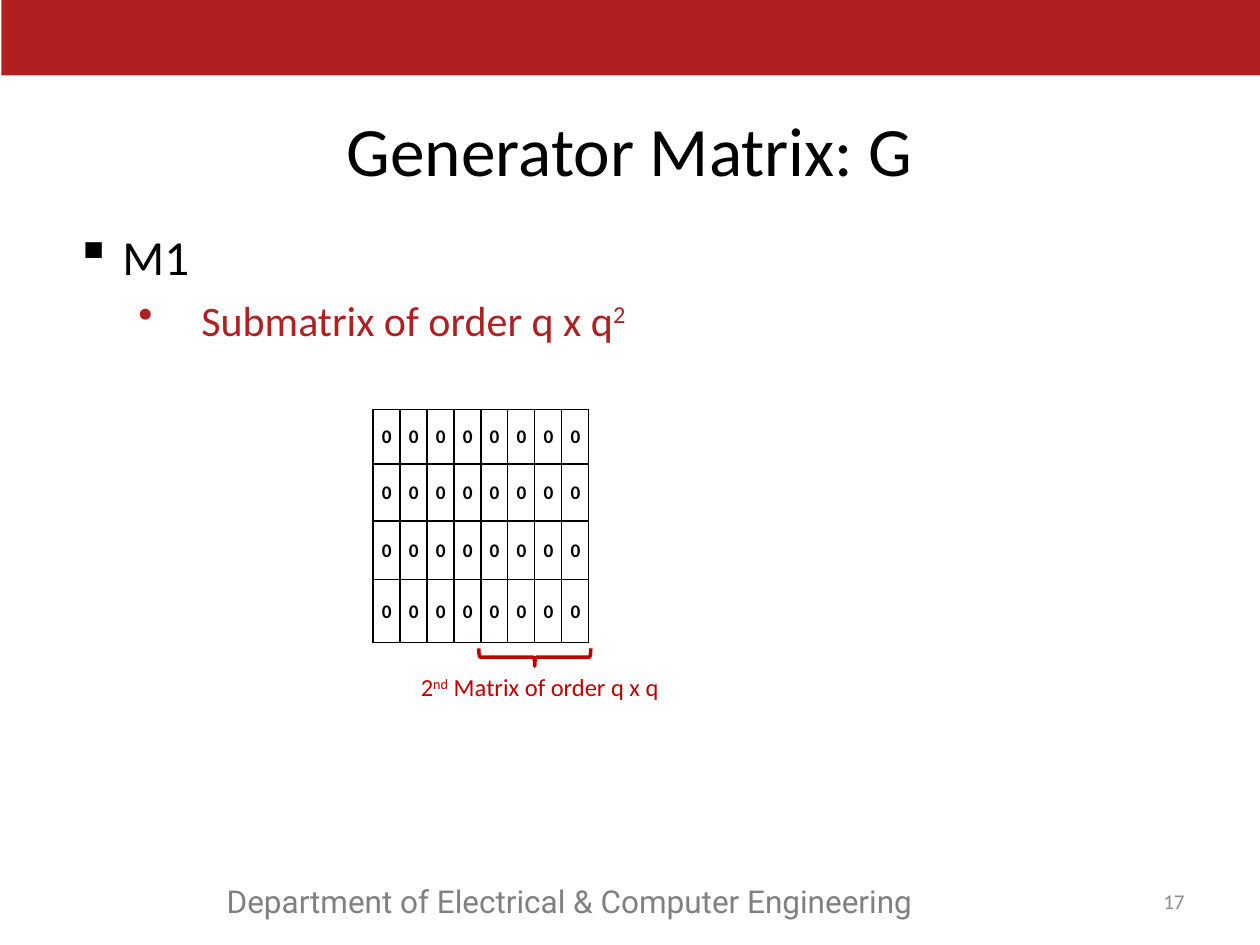
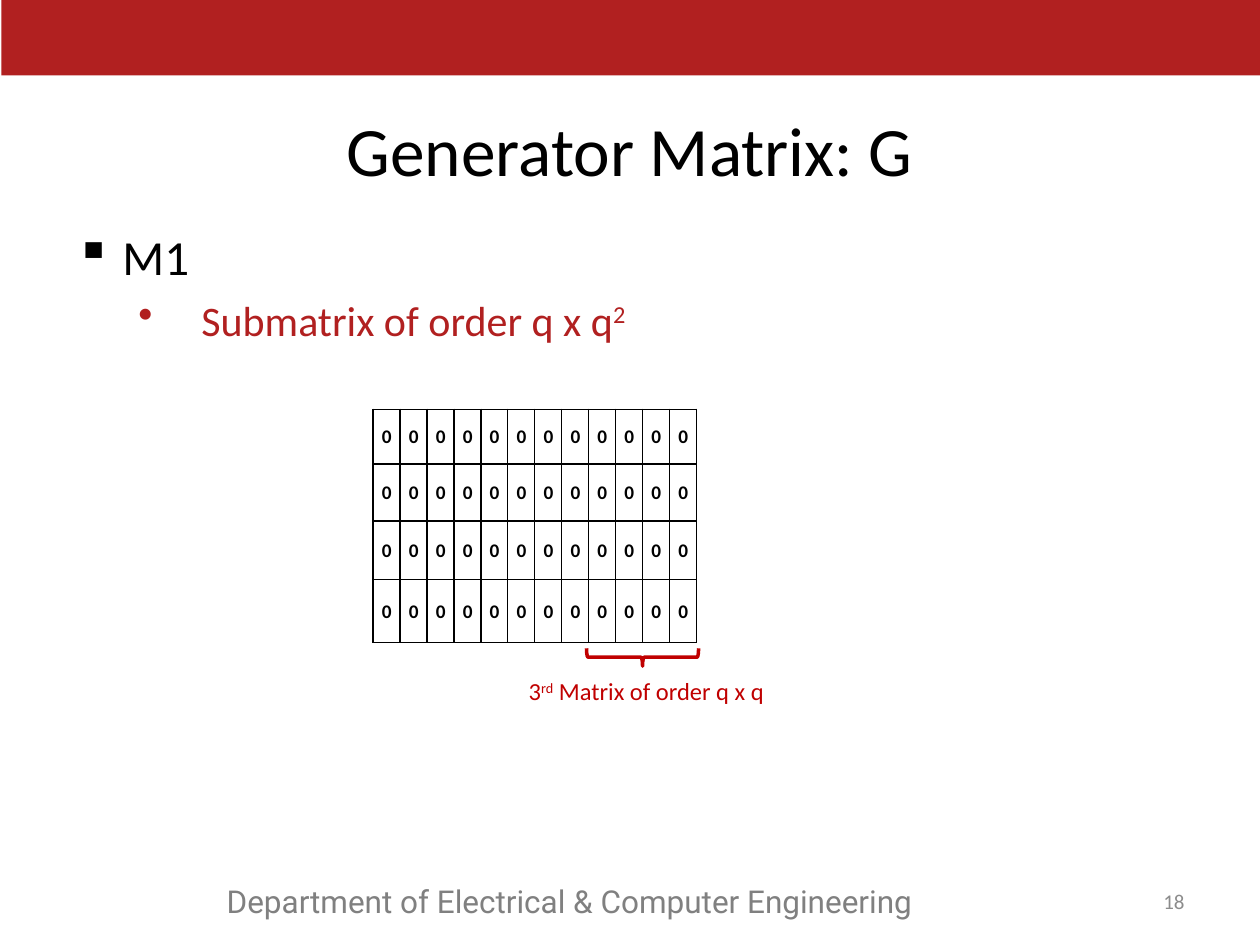
import pptx
import pptx.dml.color
import pptx.enum.shapes
import pptx.enum.text
import pptx.oxml.ns
import pptx.util
from lxml import etree

Cm, Pt = pptx.util.Cm, pptx.util.Pt
ALIGN, ANCHOR = pptx.enum.text.PP_ALIGN, pptx.enum.text.MSO_ANCHOR
FIT, SHAPE = pptx.enum.text.MSO_AUTO_SIZE, pptx.enum.shapes.MSO_SHAPE
qn = pptx.oxml.ns.qn

# Shared look
RED, MARK, BLACK = "B12020", "C00000", "000000"
GREY, PALE = "808080", "8C8C8C"
FONT, FOOT = "Calibri", "Roboto"
WIDE, HIGH = 25.4, 19.05

# Matrix measures, in cm
ORDER = 4
COL = 6.52 / 12
ROWS = (1.1, 1.15, 1.18, 1.27)


def color(code):
    return pptx.dml.color.RGBColor.from_string(code)


def lengths(box):
    return [Cm(v) for v in box]


def add_run(para, text, size, code, font=FONT, bold=False, raised=False):
    run = para.add_run()
    run.text = text
    run.font.size = Pt(size)
    run.font.name = font
    run.font.bold = bold
    run.font.color.rgb = color(code)
    if raised:
        run.font._element.set("baseline", "30000")


def add_box(slide, box, anchor=ANCHOR.TOP, fit=FIT.NONE):
    frame = slide.shapes.add_textbox(*lengths(box)).text_frame
    frame.word_wrap = True
    frame.auto_size = fit
    frame.vertical_anchor = anchor
    return frame


def add_bullet(para, char, left, hang):
    props = para._p.get_or_add_pPr()
    props.set("marL", str(Cm(left)))
    props.set("indent", str(-Cm(hang)))
    etree.SubElement(props, qn("a:buChar")).set("char", char)


# Band, title, footer and page number
def add_base(slide, title, page):
    band = slide.shapes.add_shape(SHAPE.RECTANGLE, *lengths((0.03, 0, WIDE, 1.52)))
    band.shadow.inherit = False
    band.fill.solid()
    band.fill.fore_color.rgb = color(RED)
    band.line.fill.background()

    head = slide.shapes.title
    head.left, head.top, head.width, head.height = lengths((1.27, 2.06, 22.86, 1.88))
    frame = head.text_frame
    frame.auto_size = FIT.NONE
    frame.vertical_anchor = ANCHOR.MIDDLE
    frame.paragraphs[0].alignment = ALIGN.CENTER
    add_run(frame.paragraphs[0], title, 39.6, BLACK)

    foot = add_box(slide, (4.32, 17.65, 14.66, 1.02), fit=FIT.SHAPE_TO_FIT_TEXT)
    add_run(foot.paragraphs[0], "Department of Electrical & Computer Engineering",
            18, GREY, FOOT)

    num = add_box(slide, (22.63, 17.65, 1.5, 1.02), ANCHOR.MIDDLE).paragraphs[0]
    num.alignment = ALIGN.RIGHT
    add_run(num, str(page), 12, PALE)


# Bulleted text
def add_body(slide, box):
    frame = add_box(slide, box)
    top = frame.paragraphs[0]
    top.space_before = Pt(5.6)
    add_bullet(top, "▪", 0.95, 0.95)
    add_run(top, "M1", 28, BLACK)

    sub = frame.add_paragraph()
    sub.level = 1
    sub.space_before = Pt(4.8)
    add_bullet(sub, "•", 2.54, 1.27)
    add_run(sub, "Submatrix of order q x q", 24, RED)
    add_run(sub, "2", 24, RED, raised=True)


def set_cell(cell, text):
    cell.margin_left = cell.margin_right = Cm(0.18)
    cell.margin_top = cell.margin_bottom = 0
    cell.vertical_anchor = ANCHOR.MIDDLE
    props = cell._tc.get_or_add_tcPr()
    for side in ("lnL", "lnR", "lnT", "lnB"):
        line = etree.SubElement(props, qn("a:" + side), w=str(Pt(1)))
        fill = etree.SubElement(line, qn("a:solidFill"))
        etree.SubElement(fill, qn("a:srgbClr"), val=BLACK)
    cell.fill.background()
    para = cell.text_frame.paragraphs[0]
    para.alignment = ALIGN.CENTER
    para.line_spacing = 1.07
    add_run(para, text, 11, BLACK, bold=True)


# Zero matrix made of square blocks
def add_matrix(slide, left, top, blocks):
    cols = blocks * ORDER
    box = lengths((left, top, cols * COL, sum(ROWS)))
    table = slide.shapes.add_table(len(ROWS), cols, *box).table
    table.first_row = table.horz_banding = False
    for col in table.columns:
        col.width = Cm(COL)
    for row, high in zip(table.rows, ROWS):
        row.height = Cm(high)
        for cell in row.cells:
            set_cell(cell, "0")


# Brace and caption under one block
def add_note(slide, left, top, rank, gap, wide):
    long, thick = 2.26, 0.36
    mid = left + ORDER * COL / 2
    brace = slide.shapes.add_shape(
        SHAPE.RIGHT_BRACE,
        *lengths((mid - thick / 2, top + 0.3 - long / 2, thick, long)))
    brace.rotation = 90
    brace.shadow.inherit = False
    brace.fill.background()
    brace.line.color.rgb = color(MARK)
    brace.line.width = Pt(2)

    para = add_box(slide, (left - 1.46, top + gap, wide, 0.86),
                   fit=FIT.SHAPE_TO_FIT_TEXT).paragraphs[0]
    add_run(para, rank[0], 14, MARK)
    add_run(para, rank[1:], 14, MARK, raised=True)
    add_run(para, " Matrix of order q x q", 14, MARK)


def add_page(deck, page, blocks, rank, gap, wide):
    slide = deck.slides.add_slide(deck.slide_layouts[5])
    left, top = 7.52, 8.25
    add_base(slide, "Generator Matrix: G", page)
    add_body(slide, (1.27, 4.45, 22.86, 12.57))
    add_matrix(slide, left, top, blocks)
    last = left + (blocks - 1) * ORDER * COL
    add_note(slide, last, top + sum(ROWS), rank, gap, wide)


def main():
    deck = pptx.Presentation()
    deck.slide_width, deck.slide_height = Cm(WIDE), Cm(HIGH)
    add_page(deck, 17, 2, "2nd", 0.48, 7.26)
    add_page(deck, 18, 3, "3rd", 0.56, 5.49)
    deck.save("out.pptx")


if __name__ == "__main__":
    main()
